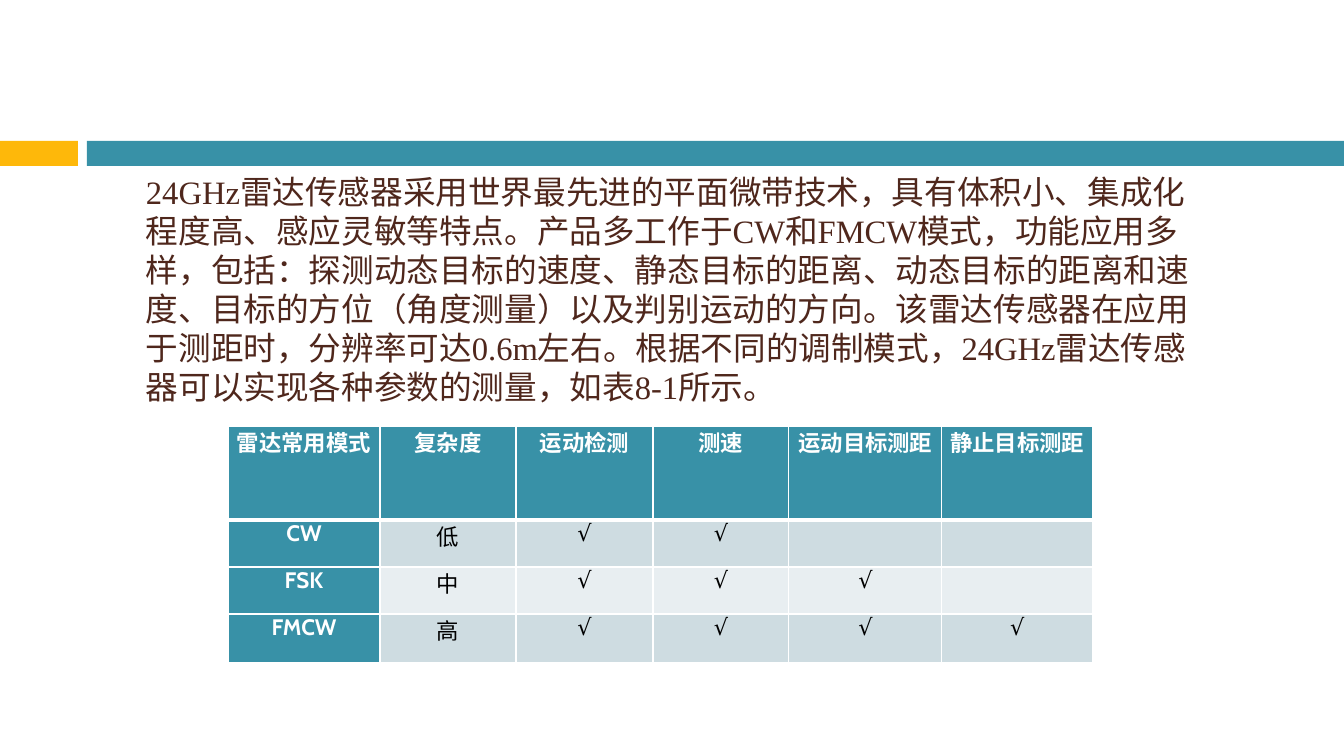
from lxml import etree
from pptx import Presentation
from pptx.dml.color import RGBColor
from pptx.enum.shapes import MSO_SHAPE
from pptx.enum.text import MSO_ANCHOR, PP_ALIGN
from pptx.oxml.ns import qn
from pptx.util import Emu, Pt

RECTANGLE = MSO_SHAPE.RECTANGLE
MIDDLE = MSO_ANCHOR.MIDDLE
LEFT, CENTER = PP_ALIGN.LEFT, PP_ALIGN.CENTER

TEAL, AMBER, BROWN = "3891A7", "FEB80A", "4F271C"
WHITE, BLACK = "FFFFFF", "000000"
BANDS = ["CEDCE1", "E8EEF1"]

INTRODUCTION = (
    "24GHz雷达传感器采用世界最先进的平面微带技术，具有体积小、集成化程度高、感应灵敏等特点。"
    "产品多工作于CW和FMCW模式，功能应用多样，包括：探测动态目标的速度、静态目标的距离、"
    "动态目标的距离和速度、目标的方位（角度测量）以及判别运动的方向。"
    "该雷达传感器在应用于测距时，分辨率可达0.6m左右。"
    "根据不同的调制模式，24GHz雷达传感器可以实现各种参数的测量，如表8-1所示。"
)
MODES = [
    ["雷达常用模式", "复杂度", "运动检测", "测速", "运动目标测距", "静止目标测距"],
    ["CW", "低", "√", "√", "", ""],
    ["FSK", "中", "√", "√", "√", ""],
    ["FMCW", "高", "√", "√", "√", "√"],
]
COLUMN_WIDTHS = [152, 136, 137, 136, 153, 151]
ROW_HEIGHTS = [94, 47, 47, 49]


def px(length):
    return Emu(round(length * 914400 / 100.8))


def color(hex_string):
    return RGBColor.from_string(hex_string)


def write(frame, text, *, size, font, fill, bold=False, align=LEFT, pitch=None):
    paragraph = frame.paragraphs[0]
    paragraph.alignment = align
    if pitch:
        paragraph.line_spacing = Pt(pitch)
    run = paragraph.add_run()
    run.text = text
    run.font.size = Pt(size)
    run.font.name = font
    run.font.bold = bold
    run.font.color.rgb = color(fill)


def draw_borders(cell, widths):
    properties = cell._tc.get_or_add_tcPr()
    for position, (side, width) in enumerate(widths.items()):
        line = etree.Element(qn(f"a:ln{side}"), w=str(Pt(width)))
        solid = etree.SubElement(line, qn("a:solidFill"))
        etree.SubElement(solid, qn("a:srgbClr"), val=WHITE)
        properties.insert(position, line)


class RadarSlide:
    """Draws styled elements on one slide, measured in px."""

    def __init__(self, slide, body_font="Times New Roman", table_font="Cabin"):
        self.slide = slide
        self.body_font = body_font
        self.table_font = table_font

    def bar(self, left, top, width, height, fill):
        bar = self.slide.shapes.add_shape(
            RECTANGLE, px(left), px(top), px(width), px(height))
        bar.shadow.inherit = False
        bar.fill.solid()
        bar.fill.fore_color.rgb = color(fill)
        bar.line.fill.background()

    def passage(self, left, top, width, height, text):
        frame = self.slide.shapes.add_textbox(
            px(left), px(top), px(width), px(height)).text_frame
        frame.word_wrap = True
        frame.vertical_anchor = MIDDLE
        write(frame, text, size=23.3, font=self.body_font, fill=BROWN, pitch=27.9)

    def mode_table(self, left, top, widths, heights, rows):
        table = self.slide.shapes.add_table(
            len(rows), len(widths), px(left), px(top),
            px(sum(widths)), px(sum(heights))).table
        table.first_row = table.horz_banding = False
        for column, width in zip(table.columns, widths):
            column.width = px(width)
        for row, height in zip(table.rows, heights):
            row.height = px(height)
        for row_number, labels in enumerate(rows):
            for column_number, label in enumerate(labels):
                self.mode_cell(table.cell(row_number, column_number), label,
                               row_number, column_number)

    def mode_cell(self, cell, label, row_number, column_number):
        heading = row_number == 0 or column_number == 0
        cell.margin_left = cell.margin_right = px(7)
        cell.margin_top = cell.margin_bottom = 0
        cell.fill.solid()
        cell.fill.fore_color.rgb = color(
            TEAL if heading else BANDS[(row_number - 1) % 2])
        draw_borders(cell, {"L": 1, "R": 1,
                            "T": 3 if row_number == 1 else 1,
                            "B": 3 if row_number == 0 else 1})
        if label:
            write(cell.text_frame, label, size=16, font=self.table_font,
                  fill=WHITE if heading else BLACK, bold=heading, align=CENTER)


def main():
    presentation = Presentation()
    presentation.slide_width, presentation.slide_height = px(1344), px(756)
    radar = RadarSlide(presentation.slides.add_slide(presentation.slide_layouts[6]))
    radar.bar(0, 141, 78, 25, AMBER)
    radar.bar(87, 141, 1257, 25, TEAL)
    radar.passage(136, 163, 1072, 252, INTRODUCTION)
    radar.mode_table(228, 426, COLUMN_WIDTHS, ROW_HEIGHTS, MODES)
    presentation.save("out.pptx")


if __name__ == "__main__":
    main()
